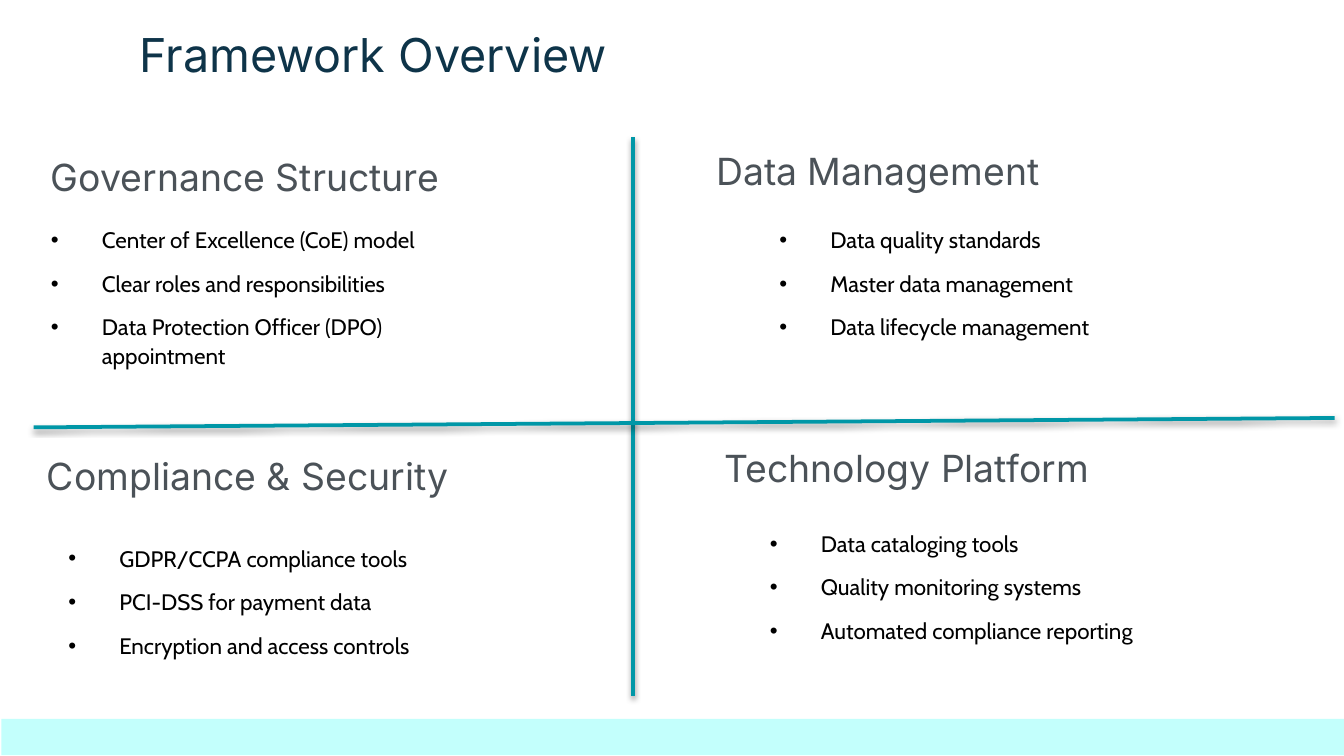
from typing import NamedTuple

from lxml.etree import SubElement
from pptx import Presentation
from pptx.dml.color import RGBColor
from pptx.enum.shapes import MSO_CONNECTOR, MSO_SHAPE
from pptx.enum.text import MSO_ANCHOR
from pptx.oxml.ns import qn
from pptx.util import Inches, Pt

COLORS = {
    "title": "0E3449",
    "heading": "4B5258",
    "body": "000000",
    "divider": "0097A7",
    "footer": "C3FFFC",
    "shadow": "000000",
}
HEADING_FONT = "Inter"
BODY_FONT = "Cabin"
BULLET_FONT = "Arial"
SLIDE_WIDTH = 10
SLIDE_HEIGHT = SLIDE_WIDTH * 9 / 16
HEADING_HEIGHT = 0.58
BULLET_INDENT = 0.38


class Box(NamedTuple):
    left: float
    top: float
    width: float
    height: float


class Quadrant(NamedTuple):
    heading: str
    heading_box: Box
    items: list[str]
    items_box: Box


class Divider(NamedTuple):
    start: tuple[float, float]
    end: tuple[float, float]


QUADRANTS = [
    Quadrant(
        "Governance Structure", Box(0.28, 1.05, 3.96, HEADING_HEIGHT),
        ["Center of Excellence (CoE) model", "Clear roles and responsibilities",
         "Data Protection Officer (DPO) appointment"],
        Box(0.28, 1.57, 3.58, 1.54),
    ),
    Quadrant(
        "Data Management", Box(5.23, 1.0, 4.52, HEADING_HEIGHT),
        ["Data quality standards", "Master data management",
         "Data lifecycle management"],
        Box(5.7, 1.57, 3.4, 0.75),
    ),
    Quadrant(
        "Compliance & Security", Box(0.25, 3.27, 4.52, HEADING_HEIGHT),
        ["GDPR/CCPA compliance tools", "PCI-DSS for payment data",
         "Encryption and access controls"],
        Box(0.41, 3.94, 3.37, 1.25),
    ),
    Quadrant(
        "Technology Platform", Box(5.29, 3.21, 4.52, HEADING_HEIGHT),
        ["Data cataloging tools", "Quality monitoring systems",
         "Automated compliance reporting"],
        Box(5.63, 3.83, 3.46, 1.16),
    ),
]
DIVIDERS = [
    Divider((4.71, 1.02), (4.71, 5.18)),
    Divider((0.25, 3.18), (9.93, 3.11)),
]


def rgb(name: str) -> RGBColor:
    return RGBColor.from_string(COLORS[name])


def add_bullet(paragraph, color: str) -> None:
    """Give the paragraph a hanging indent and a round bullet."""
    properties = paragraph._p.get_or_add_pPr()
    properties.set("marL", str(Inches(BULLET_INDENT)))
    properties.set("indent", str(-Inches(BULLET_INDENT)))
    bullet_color = SubElement(properties, qn("a:buClr"))
    SubElement(bullet_color, qn("a:srgbClr"), val=COLORS[color])
    SubElement(properties, qn("a:buFont"), typeface=BULLET_FONT)
    SubElement(properties, qn("a:buChar"), char="•")


def add_text(slide, box: Box, lines: list[str], *, size: float, font: str,
             color: str, bulleted: bool = False) -> None:
    shape = slide.shapes.add_textbox(*map(Inches, box))
    frame = shape.text_frame
    frame.word_wrap = True
    frame.vertical_anchor = MSO_ANCHOR.TOP
    frame.margin_left = frame.margin_right = Inches(0.1)
    frame.margin_top = frame.margin_bottom = Inches(0.1)
    for index, line in enumerate(lines):
        paragraph = frame.add_paragraph() if index else frame.paragraphs[0]
        run = paragraph.add_run()
        run.text = line
        run.font.size = Pt(size)
        run.font.name = font
        run.font.color.rgb = rgb(color)
        if bulleted:
            paragraph.line_spacing = 1.07
            paragraph.space_after = Pt(8)
            add_bullet(paragraph, color)


def add_divider(slide, divider: Divider) -> None:
    """Draw a line with a soft shadow below it."""
    connector = slide.shapes.add_connector(
        MSO_CONNECTOR.STRAIGHT, *map(Inches, divider.start + divider.end))
    connector.line.color.rgb = rgb("divider")
    connector.line.width = Pt(2)
    effects = SubElement(connector._element.spPr, qn("a:effectLst"))
    shadow = SubElement(effects, qn("a:outerShdw"), blurRad=str(Pt(3.1)),
                        dist=str(Pt(1.6)), dir="5400000", rotWithShape="0")
    shadow_color = SubElement(shadow, qn("a:srgbClr"), val=COLORS["shadow"])
    SubElement(shadow_color, qn("a:alpha"), val="38000")


def add_footer(slide, box: Box) -> None:
    shape = slide.shapes.add_shape(MSO_SHAPE.RECTANGLE, *map(Inches, box))
    shape.shadow.inherit = False
    shape.fill.solid()
    shape.fill.fore_color.rgb = rgb("footer")
    shape.line.fill.background()


def main() -> None:
    presentation = Presentation()
    presentation.slide_width = Inches(SLIDE_WIDTH)
    presentation.slide_height = Inches(SLIDE_HEIGHT)
    slide = presentation.slides.add_slide(presentation.slide_layouts[6])

    add_text(slide, Box(0.94, 0.09, 5.81, HEADING_HEIGHT), ["Framework Overview"],
             size=25, font=HEADING_FONT, color="title")
    add_footer(slide, Box(0.01, 5.35, SLIDE_WIDTH, 0.27))
    for divider in DIVIDERS:
        add_divider(slide, divider)
    for quadrant in QUADRANTS:
        add_text(slide, quadrant.heading_box, [quadrant.heading],
                 size=20, font=HEADING_FONT, color="heading")
        add_text(slide, quadrant.items_box, quadrant.items,
                 size=12, font=BODY_FONT, color="body", bulleted=True)

    presentation.save("out.pptx")


if __name__ == "__main__":
    main()
